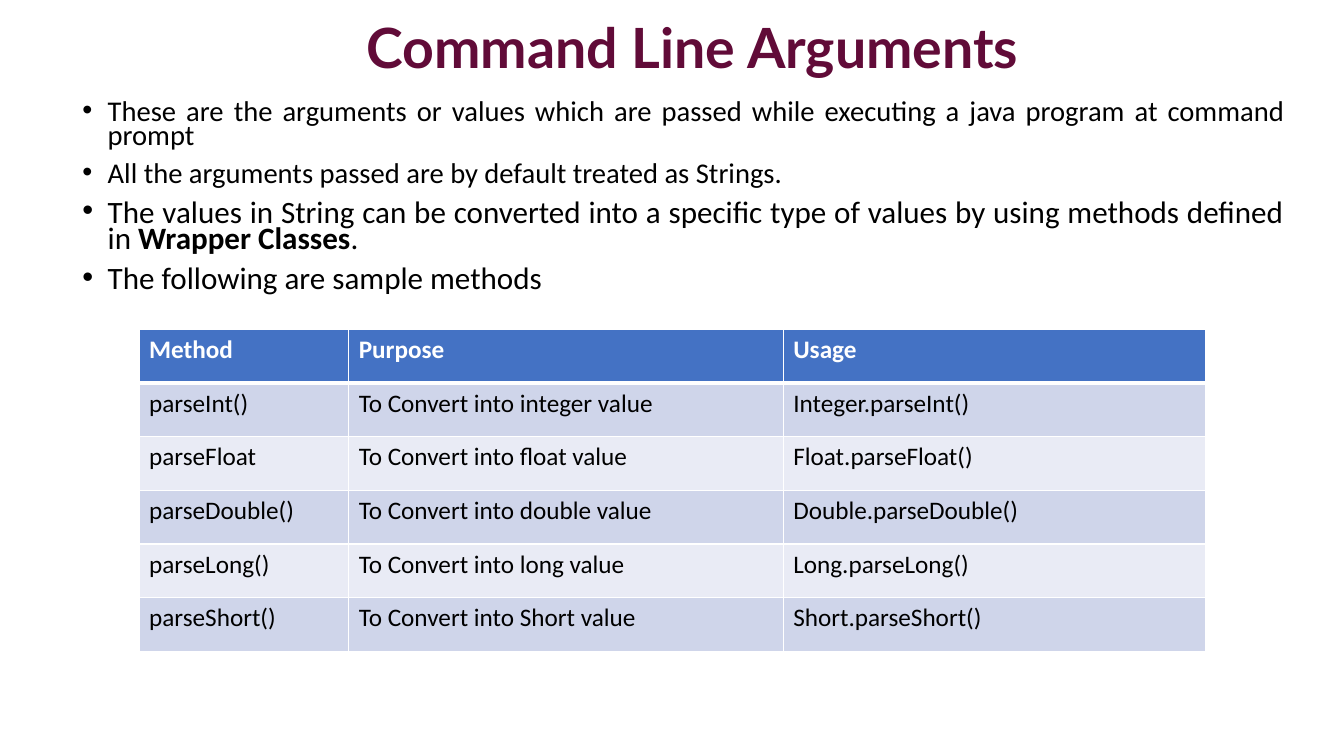
from dataclasses import dataclass
from typing import Any

from lxml import etree
from pptx import Presentation
from pptx.dml.color import RGBColor
from pptx.enum.text import MSO_ANCHOR, PP_ALIGN
from pptx.oxml.ns import qn
from pptx.util import Emu, Inches, Pt

CENTER = PP_ALIGN.CENTER
JUSTIFY = PP_ALIGN.JUSTIFY
LEFT = PP_ALIGN.LEFT
TOP = MSO_ANCHOR.TOP
MIDDLE = MSO_ANCHOR.MIDDLE

SLIDE_WIDTH = Inches(13.33)
SLIDE_HEIGHT = Inches(7.5)
GRID_COLUMNS = 100
GRID_ROWS = 75


@dataclass(frozen=True)
class Theme:
    heading_font: str = "Lato"
    body_font: str = "Calibri"
    heading: str = "610B38"
    ink: str = "000000"
    white: str = "FFFFFF"
    header_fill: str = "4472C4"
    bands: tuple[str, str] = ("CFD5EA", "E9EBF5")
    heading_size: float = 39.6
    intro_size: float = 20.4
    detail_size: float = 22.2
    table_size: float = 18
    rule: float = 1
    header_rule: float = 3


@dataclass(frozen=True)
class Area:
    column: float
    row: float
    columns: float
    rows: float

    def place(self) -> tuple[Emu, Emu, Emu, Emu]:
        return across(self.column), down(self.row), across(self.columns), down(self.rows)


@dataclass(frozen=True)
class Phrase:
    text: str
    size: float
    color: str
    font: str
    bold: bool = False


@dataclass(frozen=True)
class Point:
    phrases: tuple[Phrase, ...]


@dataclass(frozen=True)
class Conversion:
    method: str
    purpose: str
    usage: str


THEME = Theme()

TITLE_AREA = Area(8.4, 1.3, 86.25, 7.4)
POINTS_AREA = Area(5.4, 9.7, 90.9, 21.9)
TABLE_AREA = Area(10.35, 32.7, 79.36, 31.92)
TABLE_COLUMNS = (15.6, 32.33, 31.43)

TITLE_FORMAT = {"alignment": CENTER, "line_spacing": 0.9}
POINT_FORMAT = {"alignment": JUSTIFY, "line_spacing": 0.7}
POINT_GAP = Pt(10)
POINT_INDENT = Inches(0.25)


def intro(text: str) -> Phrase:
    return Phrase(text, THEME.intro_size, THEME.ink, THEME.body_font)


def detail(text: str, bold: bool = False) -> Phrase:
    return Phrase(text, THEME.detail_size, THEME.ink, THEME.body_font, bold)


TITLE = Phrase("Command Line Arguments", THEME.heading_size, THEME.heading, THEME.heading_font, True)
POINTS = (
    Point((intro("These are the arguments or values which are passed while executing "
                 "a java program at command prompt"),)),
    Point((intro("All the arguments passed are by default treated as Strings."),)),
    Point((
        detail("The values in String can be converted into a specific type of values "
               "by using methods defined in "),
        detail("Wrapper Classes", True),
        detail("."),
    )),
    Point((detail("The following are sample methods"),)),
)
CONVERSIONS = (
    Conversion("Method", "Purpose", "Usage"),
    Conversion("parseInt()", "To Convert into integer value", "Integer.parseInt()"),
    Conversion("parseFloat", "To Convert into float value", "Float.parseFloat()"),
    Conversion("parseDouble()", "To Convert into double value", "Double.parseDouble()"),
    Conversion("parseLong()", "To Convert into long value", "Long.parseLong()"),
    Conversion("parseShort()", "To Convert into Short value", "Short.parseShort()"),
)


def across(columns: float) -> Emu:
    return Emu(round(SLIDE_WIDTH * columns / GRID_COLUMNS))


def down(rows: float) -> Emu:
    return Emu(round(SLIDE_HEIGHT * rows / GRID_ROWS))


def apply_format(target: Any, values: dict[str, Any]) -> None:
    for attribute, value in values.items():
        setattr(target, attribute, value)


def write_phrase(paragraph: Any, phrase: Phrase) -> None:
    run = paragraph.add_run()
    run.text = phrase.text
    apply_format(run.font, {"name": phrase.font, "size": Pt(phrase.size), "bold": phrase.bold})
    run.font.color.rgb = RGBColor.from_string(phrase.color)


def add_frame(slide: Any, area: Area, anchor: MSO_ANCHOR) -> Any:
    frame = slide.shapes.add_textbox(*area.place()).text_frame
    apply_format(frame, {"word_wrap": True, "vertical_anchor": anchor})
    return frame


def add_bullet(paragraph: Any) -> None:
    properties = paragraph._p.get_or_add_pPr()
    properties.set("marL", str(POINT_INDENT))
    properties.set("indent", str(-POINT_INDENT))
    etree.SubElement(properties, qn("a:buFont"), typeface="Arial")
    etree.SubElement(properties, qn("a:buChar"), char="•")


def add_title(slide: Any) -> None:
    heading = add_frame(slide, TITLE_AREA, MIDDLE).paragraphs[0]
    apply_format(heading, TITLE_FORMAT)
    write_phrase(heading, TITLE)


def add_points(slide: Any) -> None:
    frame = add_frame(slide, POINTS_AREA, TOP)
    for index, point in enumerate(POINTS):
        paragraph = frame.add_paragraph() if index else frame.paragraphs[0]
        add_bullet(paragraph)
        apply_format(paragraph, POINT_FORMAT | {"space_before": POINT_GAP if index else Pt(0)})
        for phrase in point.phrases:
            write_phrase(paragraph, phrase)


def add_borders(cell: Any, row: int) -> None:
    top = THEME.header_rule if row == 1 else THEME.rule
    bottom = THEME.header_rule if row == 0 else THEME.rule
    sides = {"a:lnL": THEME.rule, "a:lnR": THEME.rule, "a:lnT": top, "a:lnB": bottom}
    properties = cell._tc.get_or_add_tcPr()
    for side, width in sides.items():
        border = etree.SubElement(properties, qn(side), w=str(Pt(width)))
        paint = etree.SubElement(border, qn("a:solidFill"))
        etree.SubElement(paint, qn("a:srgbClr"), val=THEME.white)


def add_conversions(slide: Any) -> None:
    methods = slide.shapes.add_table(len(CONVERSIONS), len(TABLE_COLUMNS), *TABLE_AREA.place()).table
    for column, share in zip(methods.columns, TABLE_COLUMNS):
        column.width = across(share)
    for row, conversion in enumerate(CONVERSIONS):
        header = row == 0
        fill = THEME.header_fill if header else THEME.bands[(row - 1) % 2]
        ink = THEME.white if header else THEME.ink
        for column, text in enumerate((conversion.method, conversion.purpose, conversion.usage)):
            cell = methods.cell(row, column)
            add_borders(cell, row)
            cell.fill.solid()
            cell.fill.fore_color.rgb = RGBColor.from_string(fill)
            paragraph = cell.text_frame.paragraphs[0]
            paragraph.alignment = LEFT
            write_phrase(paragraph, Phrase(text, THEME.table_size, ink, THEME.body_font, header))


def main() -> None:
    deck = Presentation()
    apply_format(deck, {"slide_width": SLIDE_WIDTH, "slide_height": SLIDE_HEIGHT})
    slide = deck.slides.add_slide(deck.slide_layouts[6])
    add_title(slide)
    add_points(slide)
    add_conversions(slide)
    deck.save("out.pptx")


if __name__ == "__main__":
    main()
